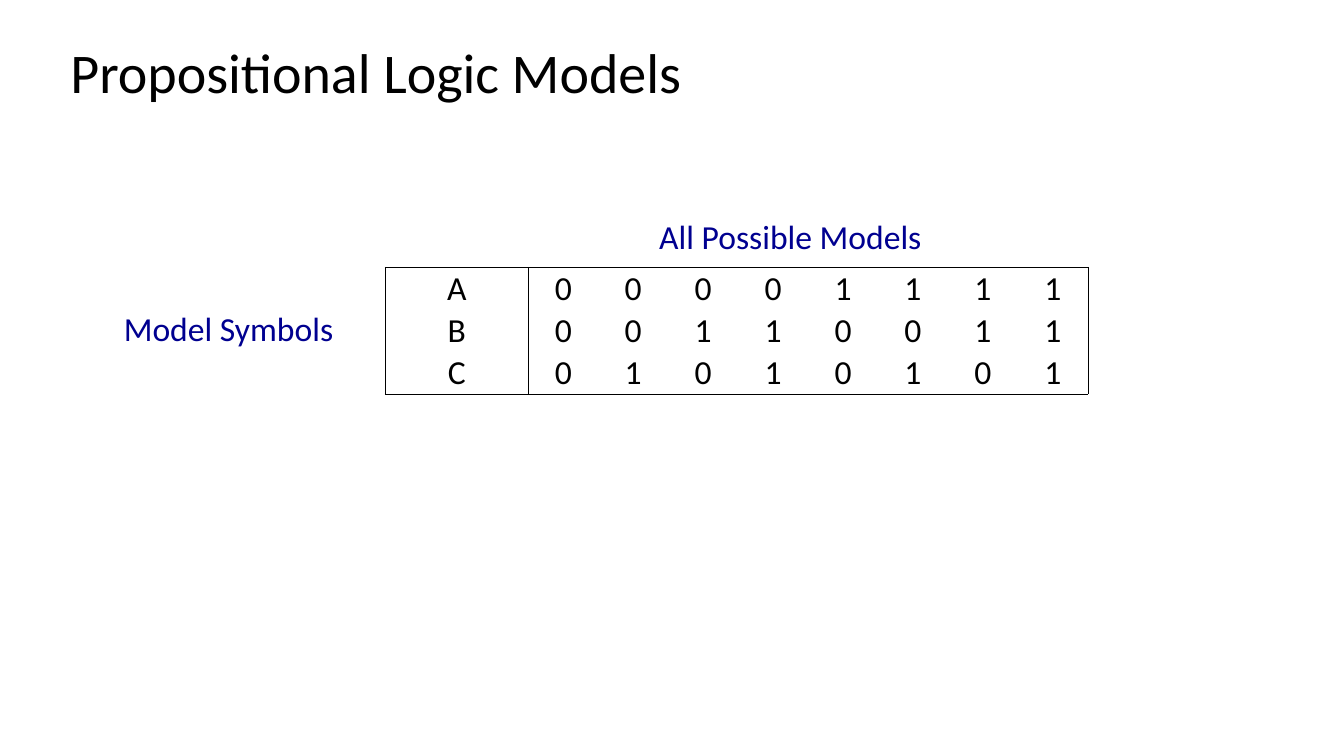
from lxml.etree import SubElement
from pptx import Presentation
from pptx.dml.color import RGBColor
from pptx.enum.text import MSO_ANCHOR, PP_ALIGN
from pptx.oxml.ns import qn
from pptx.util import Inches, Pt

COLORS = {"text": "000000", "label": "000090", "border": "000000"}
FONT = "Calibri"
CAPTIONS = [
    ("Propositional Logic Models", (0.6, 0.4, 11.5, 0.69), 40, "text", 0.9),
    ("All Possible Models", (6.44, 2.09, 3.13, 0.5), 24, "label", 1.0),
    ("Model Symbols", (1.13, 3, 2.5, 0.5), 24, "label", 1.0),
]
SYMBOLS = ["A", "B", "C"]
MODEL_COUNT = 2 ** len(SYMBOLS)
TABLE_BOX = (3.82, 2.65, 6.97, 1.26)
SYMBOL_WIDTH = 1.42
BORDER_WIDTH = 0.5


def style(paragraph, size, color):
    paragraph.font.name = FONT
    paragraph.font.size = Pt(size)
    paragraph.font.color.rgb = RGBColor.from_string(COLORS[color])


def add_caption(slide, wording, box, size, color, spacing):
    frame = slide.shapes.add_textbox(*map(Inches, box)).text_frame
    frame.word_wrap = True
    frame.vertical_anchor = MSO_ANCHOR.MIDDLE
    paragraph = frame.paragraphs[0]
    paragraph.text = wording
    paragraph.line_spacing = spacing
    style(paragraph, size, color)


def set_borders(cell, edges):
    properties = cell._tc.get_or_add_tcPr()
    for edge in "LRTB":
        line = SubElement(properties, qn(f"a:ln{edge}"), w=str(Pt(BORDER_WIDTH)))
        if edge in edges:
            fill = SubElement(line, qn("a:solidFill"))
            SubElement(fill, qn("a:srgbClr"), val=COLORS["border"])
        else:
            SubElement(line, qn("a:noFill"))


def fill_cell(cell, value, edges):
    cell.text = value
    cell.vertical_anchor = MSO_ANCHOR.BOTTOM
    cell.margin_left = cell.margin_right = cell.margin_top = Inches(0.01)
    cell.margin_bottom = 0
    paragraph = cell.text_frame.paragraphs[0]
    paragraph.alignment = PP_ALIGN.CENTER
    style(paragraph, 24, "text")
    set_borders(cell, edges)
    cell.fill.background()


def add_truth_table(slide):
    table = slide.shapes.add_table(
        len(SYMBOLS), MODEL_COUNT + 1, *map(Inches, TABLE_BOX)
    ).table
    table.first_row = table.horz_banding = False
    model_width = (TABLE_BOX[2] - SYMBOL_WIDTH) / MODEL_COUNT
    for index, column in enumerate(table.columns):
        column.width = Inches(model_width if index else SYMBOL_WIDTH)

    last_row = len(SYMBOLS) - 1
    for row, symbol in enumerate(SYMBOLS):
        truth_values = [str(model >> (last_row - row) & 1) for model in range(MODEL_COUNT)]
        for column, value in enumerate([symbol] + truth_values):
            edges = {
                "L": column in (0, 1),
                "R": column in (0, MODEL_COUNT),
                "T": row == 0,
                "B": row == last_row,
            }
            fill_cell(table.cell(row, column), value, [e for e in edges if edges[e]])


def main():
    """Build the slide on propositional logic models."""
    presentation = Presentation()
    presentation.slide_width = Inches(13.33)
    presentation.slide_height = Inches(7.5)
    slide = presentation.slides.add_slide(presentation.slide_layouts[6])
    for caption in CAPTIONS:
        add_caption(slide, *caption)
    add_truth_table(slide)
    presentation.save("out.pptx")


if __name__ == "__main__":
    main()
